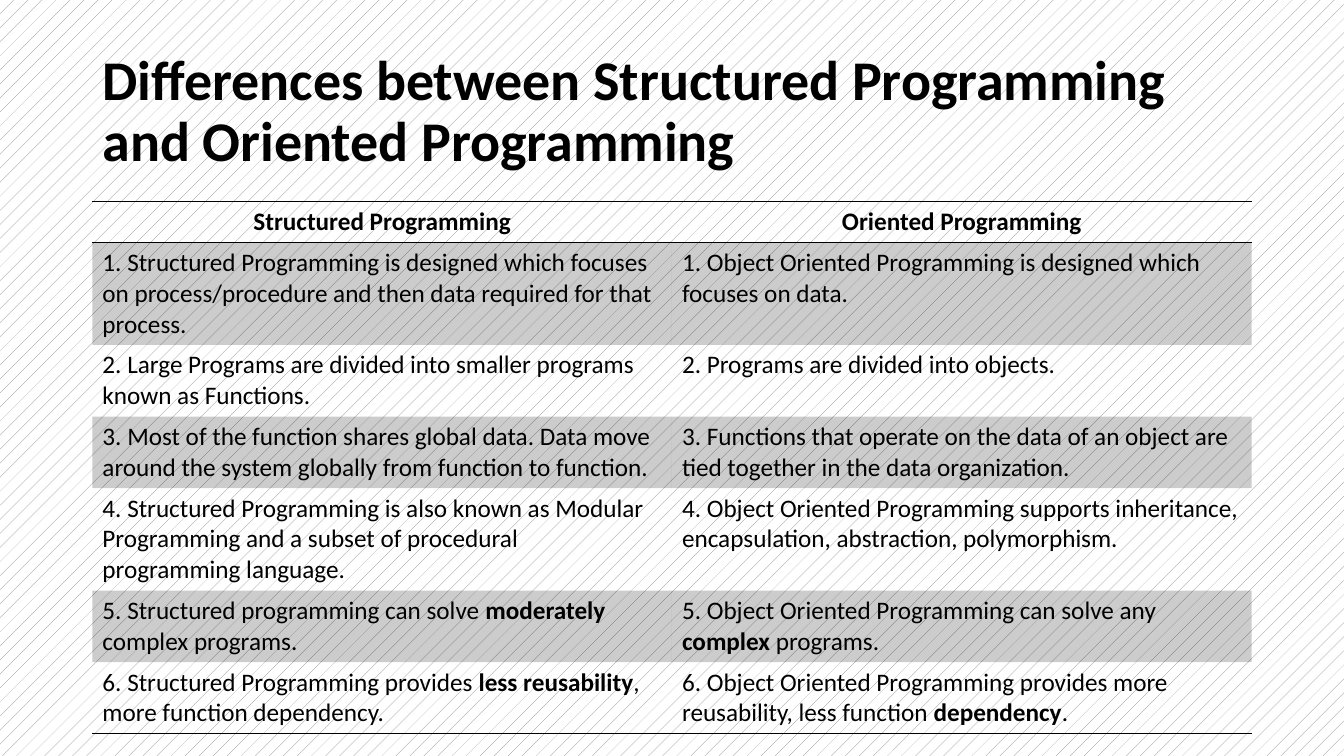
from dataclasses import dataclass

from lxml.etree import SubElement
from pptx import Presentation
from pptx.dml.color import RGBColor
from pptx.enum.dml import MSO_PATTERN
from pptx.enum.text import MSO_ANCHOR, MSO_AUTO_SIZE, PP_ALIGN
from pptx.oxml.ns import qn
from pptx.slide import Slide
from pptx.table import _Cell
from pptx.util import Emu, Pt

NO_STYLE_NO_GRID = "{2D5ABB26-0587-4C30-8999-92F81FD0307C}"
TITLE_ONLY_LAYOUT = 5
TITLE = "Differences between Structured Programming and Oriented Programming"


@dataclass(frozen=True)
class Theme:
    font: str = "Calibri"
    ink: RGBColor = RGBColor(0x00, 0x00, 0x00)
    hatch: RGBColor = RGBColor(0x80, 0x80, 0x80)
    paper: RGBColor = RGBColor(0xFF, 0xFF, 0xFF)
    band_opacity: int = 20
    title_size: Pt = Pt(40)
    table_size: Pt = Pt(18)
    rule_width: Pt = Pt(1)


@dataclass(frozen=True)
class Comparison:
    """One row of the table; ** switches bold on and off."""
    structured: str
    oriented: str


THEME = Theme()
HEADER = Comparison("Structured Programming", "Oriented Programming")
DIFFERENCES = [
    Comparison(
        "1. Structured Programming is designed which focuses on process/procedure "
        "and then data required for that process.",
        "1. Object Oriented Programming is designed which focuses on data."),
    Comparison(
        "2. Large Programs are divided into smaller programs known as Functions.",
        "2. Programs are divided into objects."),
    Comparison(
        "3. Most of the function shares global data. Data move around the system "
        "globally from function to function.",
        "3. Functions that operate on the data of an object are tied together "
        "in the data organization."),
    Comparison(
        "4. Structured Programming is also known as Modular Programming and "
        "a subset of procedural programming language.",
        "4. Object Oriented Programming supports inheritance, encapsulation, "
        "abstraction, polymorphism."),
    Comparison(
        "5. Structured programming can solve **moderately** complex programs.",
        "5. Object Oriented Programming can solve any **complex **programs."),
    Comparison(
        "6. Structured Programming provides **less reusability**, "
        "more function dependency.",
        "6. Object Oriented Programming provides more reusability, "
        "less function **dependency**."),
]


def px(length: int) -> Emu:
    return Emu(length * 9525)


def add_title(page: Slide) -> None:
    title = page.shapes.title
    title.left, title.top, title.width, title.height = px(88), px(38), px(1104), px(139)
    frame = title.text_frame
    frame.text = TITLE
    frame.auto_size = MSO_AUTO_SIZE.NONE
    frame.vertical_anchor = MSO_ANCHOR.MIDDLE
    para = frame.paragraphs[0]
    para.alignment = PP_ALIGN.LEFT
    para.line_spacing = 0.9
    font = para.font
    font.name, font.size, font.bold = THEME.font, THEME.title_size, True
    font.color.rgb = THEME.ink


def write_cell(cell: _Cell, text: str, is_header: bool) -> None:
    para = cell.text_frame.paragraphs[0]
    para.alignment = PP_ALIGN.CENTER if is_header else PP_ALIGN.LEFT
    for index, part in enumerate(text.split("**")):
        span = para.add_run()
        span.text = part
        if index % 2:
            span.font.bold = True
    font = para.font
    font.name, font.size, font.bold = THEME.font, THEME.table_size, is_header
    font.color.rgb = THEME.ink


def rule_cell(cell: _Cell, side: str) -> None:
    """Draw a border on side "T" (top) or "B" (bottom)."""
    properties = cell._tc.get_or_add_tcPr()
    line = SubElement(properties, qn(f"a:ln{side}"), w=str(THEME.rule_width))
    fill = SubElement(line, qn("a:solidFill"))
    SubElement(fill, qn("a:srgbClr"), val=str(THEME.ink))


def shade_cell(cell: _Cell) -> None:
    cell.fill.solid()
    cell.fill.fore_color.rgb = THEME.ink
    color = cell._tc.tcPr.find(f"{qn('a:solidFill')}/{qn('a:srgbClr')}")
    SubElement(color, qn("a:alpha"), val=str(THEME.band_opacity * 1000))


def add_comparison_table(page: Slide) -> None:
    rows = [HEADER, *DIFFERENCES]
    frame = page.shapes.add_table(len(rows), 2, px(88), px(192), px(1104), px(500))
    table = frame.table
    table.first_row = table.horz_banding = False
    table._tbl.tblPr.find(qn("a:tableStyleId")).text = NO_STYLE_NO_GRID
    for number, row in enumerate(rows):
        table.rows[number].height = px(39)
        for column, text in enumerate((row.structured, row.oriented)):
            cell = table.cell(number, column)
            write_cell(cell, text, is_header=number == 0)
            if number == 0:
                rule_cell(cell, "T")
            if number in (0, len(rows) - 1):
                rule_cell(cell, "B")
            if number % 2:
                shade_cell(cell)
            else:
                cell.fill.background()
    frame.height = px(500)


def main() -> None:
    deck = Presentation()
    deck.slide_width, deck.slide_height = px(1280), px(720)
    page = deck.slides.add_slide(deck.slide_layouts[TITLE_ONLY_LAYOUT])
    backdrop = page.background.fill
    backdrop.patterned()
    backdrop.pattern = MSO_PATTERN.PERCENT_5
    backdrop.fore_color.rgb = THEME.hatch
    backdrop.back_color.rgb = THEME.paper
    add_title(page)
    add_comparison_table(page)
    deck.save("out.pptx")


if __name__ == "__main__":
    main()
